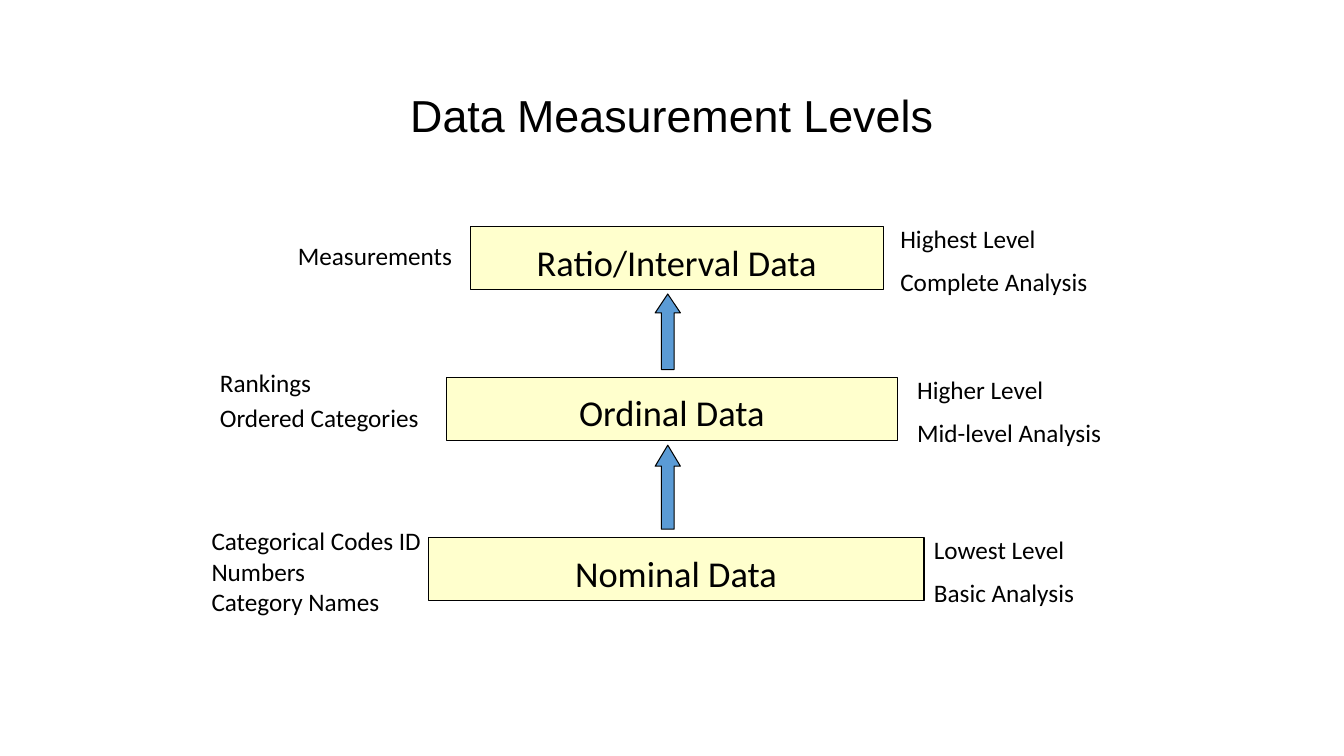
import dataclasses

import pptx
import pptx.dml.color
import pptx.enum.shapes
import pptx.enum.text
import pptx.util

Pt = pptx.util.Pt
ALIGN = pptx.enum.text.PP_ALIGN
ANCHOR = pptx.enum.text.MSO_ANCHOR
SHAPE = pptx.enum.shapes.MSO_SHAPE


@dataclasses.dataclass(frozen=True)
class Theme:
    text: str = "000000"
    outline: str = "000000"
    level_fill: str = "FFFFCD"
    arrow_fill: str = "5B9BD5"
    title_font: str = "Arial"
    body_font: str = "Calibri"
    title_size: float = 32
    level_size: float = 26
    note_size: float = 18


def color(value):
    return pptx.dml.color.RGBColor.from_string(value)


def write(frame, text, *, font, size, fill, align=ALIGN.LEFT, anchor=ANCHOR.TOP,
          line_spacing=1.0, gap=0):
    """Fill a text frame, one paragraph per line, with gap points between them."""
    frame.word_wrap = True
    frame.auto_size = pptx.enum.text.MSO_AUTO_SIZE.NONE
    frame.vertical_anchor = anchor
    frame.text = text
    for index, paragraph in enumerate(frame.paragraphs):
        paragraph.alignment = align
        paragraph.line_spacing = line_spacing
        paragraph.space_before = Pt(gap if index else 0)
        paragraph.font.name = font
        paragraph.font.size = Pt(size)
        paragraph.font.color.rgb = color(fill)


class SlideBuilder:
    def __init__(self, presentation, theme):
        self.theme = theme
        self.slide = presentation.slides.add_slide(presentation.slide_layouts[5])

    def title(self, text, left, top, width, height):
        title = self.slide.shapes.title
        title.left, title.top = Pt(left), Pt(top)
        title.width, title.height = Pt(width), Pt(height)
        write(title.text_frame, text, font=self.theme.title_font,
              size=self.theme.title_size, fill=self.theme.text,
              align=ALIGN.CENTER, anchor=ANCHOR.MIDDLE, line_spacing=0.9)

    def shape(self, kind, left, top, width, height, fill, line_width):
        shape = self.slide.shapes.add_shape(kind, Pt(left), Pt(top), Pt(width), Pt(height))
        shape.shadow.inherit = False
        shape.fill.solid()
        shape.fill.fore_color.rgb = color(fill)
        shape.line.color.rgb = color(self.theme.outline)
        shape.line.width = Pt(line_width)
        return shape

    def level(self, text, left, top, width, height=45):
        box = self.shape(SHAPE.RECTANGLE, left, top, width, height, self.theme.level_fill, 1)
        box.text_frame.margin_top = Pt(9.4)
        write(box.text_frame, text, font=self.theme.body_font,
              size=self.theme.level_size, fill=self.theme.text, align=ALIGN.CENTER)

    def note(self, text, left, top, width, height, **text_format):
        box = self.slide.shapes.add_textbox(Pt(left), Pt(top), Pt(width), Pt(height))
        write(box.text_frame, text, font=self.theme.body_font,
              size=self.theme.note_size, fill=self.theme.text, gap=9, **text_format)

    def up_arrow(self, left, top, width, height):
        """Draw an arrow whose head takes a quarter of its height."""
        arrow = self.shape(SHAPE.UP_ARROW, left, top, width, height,
                           self.theme.arrow_fill, 0.75)
        arrow.adjustments[0] = 0.5
        arrow.adjustments[1] = height / width / 4


def main():
    presentation = pptx.Presentation()
    presentation.slide_width, presentation.slide_height = Pt(960), Pt(540)
    builder = SlideBuilder(presentation, Theme())
    builder.title("Data Measurement Levels", 174, 48, 612, 72)

    builder.level("Ratio/Interval Data", 336, 162, 295)
    builder.level("Ordinal Data", 319, 269.5, 322)
    builder.level("Nominal Data", 306, 384, 354)

    for text, left, top in (
        ("Highest Level\nComplete Analysis", 636, 156),
        ("Higher Level\nMid-level Analysis", 648, 264),
        ("Lowest Level\nBasic Analysis", 660, 378),
    ):
        builder.note(text, left, top, 168, 61)

    builder.note("Categorical Codes ID Numbers\vCategory Names", 144, 372, 168, 72)
    builder.note("Rankings\nOrdered Categories", 150, 264, 180, 50, line_spacing=0.75)
    builder.note("Measurements", 162, 168, 168, 29, align=ALIGN.RIGHT)

    for top, height in ((318, 60), (210, 54)):
        builder.up_arrow(468, top, 18, height)

    presentation.save("out.pptx")


if __name__ == "__main__":
    main()
